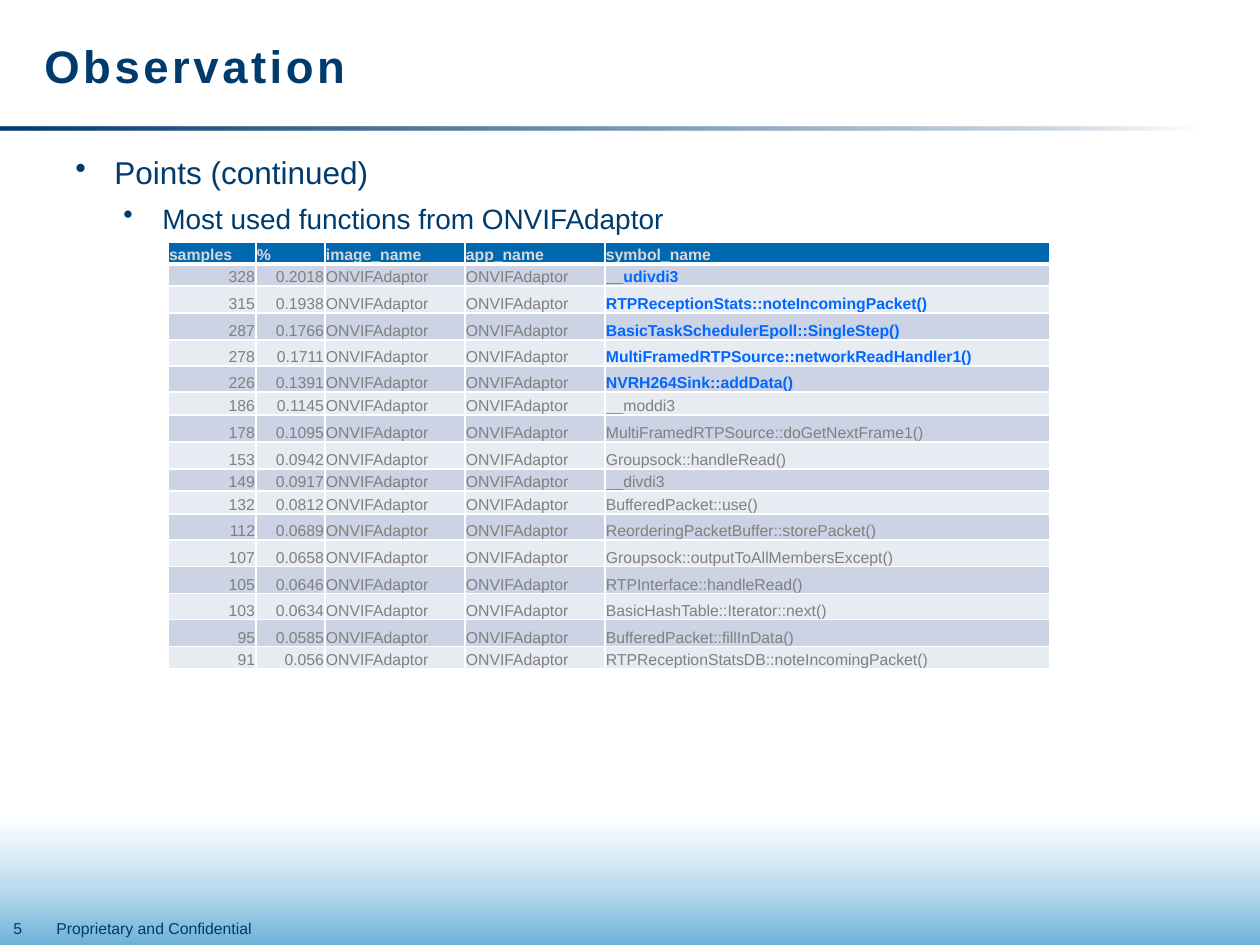
from lxml.etree import SubElement
from pptx import Presentation
from pptx.dml.color import RGBColor
from pptx.enum.shapes import MSO_SHAPE
from pptx.enum.text import MSO_ANCHOR, PP_ALIGN
from pptx.oxml import parse_xml
from pptx.oxml.ns import nsdecls, qn
from pptx.util import Emu, Pt

FONT, NAVY, WHITE = "Arial", "003B6E", "FFFFFF"
HEADER, BANDS = "0067B1", ("CCD3E4", "E7EBF2")
HEADER_TEXT, BODY_TEXT, HIGHLIGHT = "D9D9D9", "808080", "0067FF"
GLOW = [(0, "6EB0D8", 100), (26, "BCDCEF", 100), (58, WHITE, 100)]
FADE = [(0, NAVY, 100), (88, NAVY, 20), (100, NAVY, 0)]
COLS = [88, 69, 140, 140, 445]
ROWS = [22, 22, 27, 27, 26, 26, 23, 27, 27, 22, 23, 26, 27, 27, 26, 27, 22]
HEADINGS = ["samples", "%", "image_name", "app_name", "symbol_name"]
APP = "ONVIFAdaptor"
HOT_COUNT = 5
FUNCTIONS = [
    ("328", "0.2018", "__udivdi3"),
    ("315", "0.1938", "RTPReceptionStats::noteIncomingPacket()"),
    ("287", "0.1766", "BasicTaskSchedulerEpoll::SingleStep()"),
    ("278", "0.1711", "MultiFramedRTPSource::networkReadHandler1()"),
    ("226", "0.1391", "NVRH264Sink::addData()"),
    ("186", "0.1145", "__moddi3"),
    ("178", "0.1095", "MultiFramedRTPSource::doGetNextFrame1()"),
    ("153", "0.0942", "Groupsock::handleRead()"),
    ("149", "0.0917", "__divdi3"),
    ("132", "0.0812", "BufferedPacket::use()"),
    ("112", "0.0689", "ReorderingPacketBuffer::storePacket()"),
    ("107", "0.0658", "Groupsock::outputToAllMembersExcept()"),
    ("105", "0.0646", "RTPInterface::handleRead()"),
    ("103", "0.0634", "BasicHashTable::Iterator::next()"),
    ("95", "0.0585", "BufferedPacket::fillInData()"),
    ("91", "0.056", "RTPReceptionStatsDB::noteIncomingPacket()"),
]


def px(n):
    """Turn pixels into EMU."""
    return Emu(round(n * 914400 / 126))


def rgb(color):
    """Turn a hex string into a colour."""
    return RGBColor.from_string(color)


def style(p, size, color, bold=False):
    """Set the font of a paragraph."""
    f = p.font
    f.name, f.size, f.bold = FONT, Pt(size), bold
    f.color.rgb = rgb(color)


def add_gradient(s, box, stops, angle):
    """Add a borderless rectangle with a linear gradient."""
    sp = s.shapes.add_shape(MSO_SHAPE.RECTANGLE, *map(px, box))
    sp.shadow.inherit = False
    sp.line.fill.background()
    gs = "".join(
        f'<a:gs pos="{pos * 1000}"><a:srgbClr val="{color}">'
        f'<a:alpha val="{alpha * 1000}"/></a:srgbClr></a:gs>'
        for pos, color, alpha in stops)
    sp.element.spPr.find(qn("a:prstGeom")).addnext(parse_xml(
        f'<a:gradFill {nsdecls("a")} rotWithShape="1"><a:gsLst>{gs}</a:gsLst>'
        f'<a:lin ang="{angle * 60000}" scaled="0"/></a:gradFill>'))


def add_text(s, box, text, size, bold=False, wrap=True):
    """Add a text box with one paragraph and return its text frame."""
    tf = s.shapes.add_textbox(*map(px, box)).text_frame
    tf.word_wrap = wrap
    p = tf.paragraphs[0]
    p.text = text
    style(p, size, NAVY, bold)
    return tf


def add_backdrop(s, x, y, w, h):
    """Add the bottom glow, the title rule and the footer."""
    for top in (735, 725):
        add_gradient(s, (x, y + top, w, h - top), GLOW, 270)
    add_gradient(s, (x, y + 127, w - 63, 3), FADE, 0)
    add_text(s, (x + 44, y + 913, 227, 32), "Proprietary and Confidential", 9, wrap=False)
    add_text(s, (x + 1, y + 913, 62, 32), "5", 9)


def add_title(s, x, y, w, h):
    """Add the letter-spaced title."""
    tf = add_text(s, (x, y, w, h), "Observation", 26, bold=True)
    tf.vertical_anchor = MSO_ANCHOR.MIDDLE
    p = tf.paragraphs[0]
    p.line_spacing = Pt(30)
    p.runs[0].font.size = Pt(26)
    p.runs[0].font._element.set("spc", "200")


def add_points(s, x, y, w, h):
    """Add the two levels of bullets."""
    tf = add_text(s, (x, y, w, h), "Points (continued)", 18)
    p = tf.add_paragraph()
    p.text = "Most used functions from ONVIFAdaptor"
    p.level = 1
    style(p, 16, NAVY)
    for p, indent in zip(tf.paragraphs, (39, 87)):
        p.space_before = Pt(6)
        pPr = p._p.get_or_add_pPr()
        pPr.set("marL", str(px(indent)))
        pPr.set("indent", str(-px(39)))
        pPr.find(qn("a:spcBef")).addnext(
            parse_xml(f'<a:buChar {nsdecls("a")} char="•"/>'))


def set_borders(cell, bottom):
    """Draw white borders round a cell, with the bottom width in points."""
    tcPr = cell._tc.get_or_add_tcPr()
    for i, (side, width) in enumerate(zip("LRTB", (1, 1, 1, bottom))):
        ln = parse_xml(f'<a:ln{side} {nsdecls("a")} w="{Pt(width)}"/>')
        fill = SubElement(ln, qn("a:solidFill"))
        SubElement(fill, qn("a:srgbClr"), val=WHITE)
        tcPr.insert(i, ln)


def fill_cell(cell, text, fill, color, bold, align, bottom):
    """Write and style one table cell."""
    cell.text = text
    cell.vertical_anchor = MSO_ANCHOR.BOTTOM
    cell.margin_left = cell.margin_right = cell.margin_top = px(1)
    cell.margin_bottom = 0
    cell.fill.solid()
    cell.fill.fore_color.rgb = rgb(fill)
    p = cell.text_frame.paragraphs[0]
    p.alignment = align
    style(p, 9, color, bold)
    set_borders(cell, bottom)


def add_functions(s, x, y):
    """Add the table of the most used functions."""
    box = (x, y, sum(COLS), sum(ROWS))
    table = s.shapes.add_table(len(ROWS), len(COLS), *map(px, box)).table
    for col, w in zip(table.columns, COLS):
        col.width = px(w)
    for row, h in zip(table.rows, ROWS):
        row.height = px(h)
    for c, text in enumerate(HEADINGS):
        fill_cell(table.cell(0, c), text, HEADER, HEADER_TEXT, True, PP_ALIGN.LEFT, 3)
    for r, (samples, share, symbol) in enumerate(FUNCTIONS):
        for c, text in enumerate((samples, share, APP, APP, symbol)):
            hot = c == 4 and r < HOT_COUNT
            fill_cell(table.cell(r + 1, c), text, BANDS[r % 2],
                      HIGHLIGHT if hot else BODY_TEXT, hot,
                      PP_ALIGN.RIGHT if c < 2 else PP_ALIGN.LEFT, 1)


def main():
    """Build and save the slide."""
    prs = Presentation()
    prs.slide_width, prs.slide_height = px(1260), px(945)
    s = prs.slides.add_slide(prs.slide_layouts[6])
    s.background.fill.solid()
    s.background.fill.fore_color.rgb = rgb(WHITE)
    add_backdrop(s, 0, 0, 1260, 945)
    add_title(s, 32, 6, 1134, 120)
    add_points(s, 63, 147, 1197, 766)
    add_functions(s, 168, 242)
    prs.save("out.pptx")


if __name__ == "__main__":
    main()
